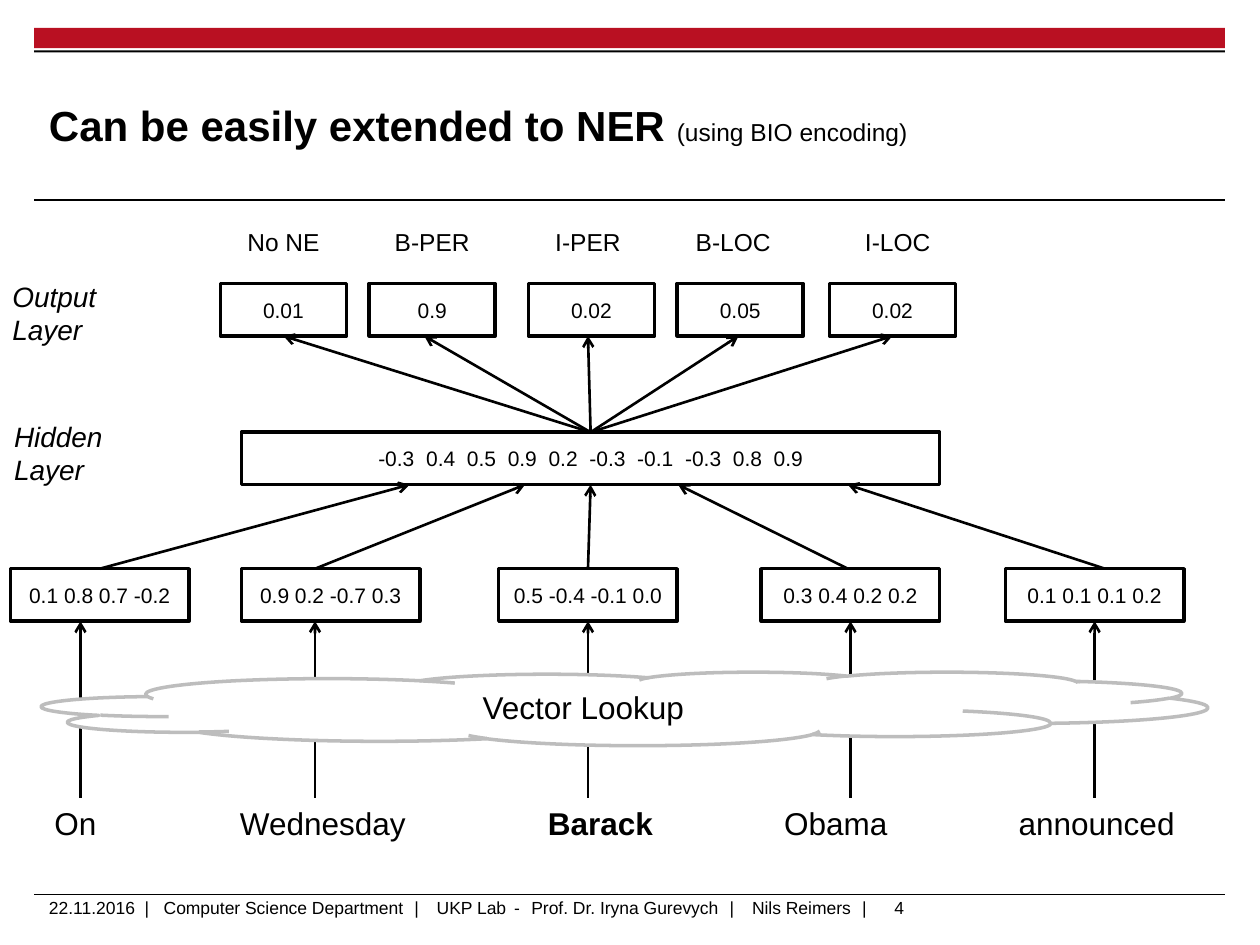
"""Build a slide showing a feed-forward network for named entity recognition."""
from itertools import chain
from typing import NamedTuple

from lxml.etree import SubElement
from pptx import Presentation
from pptx.dml.color import RGBColor
from pptx.enum.shapes import MSO_CONNECTOR, MSO_SHAPE
from pptx.enum.text import MSO_ANCHOR, PP_ALIGN
from pptx.oxml.ns import qn
from pptx.shapes.autoshape import Shape
from pptx.shapes.connector import Connector
from pptx.slide import Slide
from pptx.text.text import TextFrame
from pptx.util import Pt

COLORS = {"ink": "000000", "band": "B91022", "cloud": "BDBDBD", "paper": "FFFFFF"}
BOX_HEIGHT = 30
OUTPUT_TOP, HIDDEN_TOP, VECTOR_TOP, WORD_TOP = 162, 247, 325, 456
VECTOR_WIDTH, OUTPUT_WIDTH, LABEL_WIDTH = 102, 72, 90
HIDDEN_LEFT, HIDDEN_WIDTH = 138, 399
HIDDEN_CENTER = HIDDEN_LEFT + HIDDEN_WIDTH / 2


class Span(NamedTuple):
    text: str
    size: float | None = None
    bold: bool = False
    spacing: float = 0


class Token(NamedTuple):
    vector: str
    vector_left: float
    lookup_x: float
    feed_x: float
    hidden_x: float


class Tag(NamedTuple):
    label: str
    score: str
    label_left: float
    box_left: float
    arrow_x: float


TOKENS = [
    Token("0.1 0.8 0.7 -0.2", 6, 46, 57, 234),
    Token("0.9 0.2 -0.7 0.3", 138, 180, 180, 300),
    Token("0.5 -0.4 -0.1 0.0", 285, 336, 336, 337.5),
    Token("0.3 0.4 0.2 0.2", 435, 486, 484.5, 387.5),
    Token("0.1 0.1 0.1 0.2", 574.5, 625.5, 631.5, 484.5),
]
TAGS = [
    Tag("No NE", "0.01", 117, 126, 162),
    Tag("B-PER", "0.9", 202, 211, 242.5),
    Tag("I-PER", "0.02", 291, 302, 336),
    Tag("B-LOC", "0.05", 374, 387, 422),
    Tag("I-LOC", "0.02", 468, 474, 510),
]
HIDDEN_VALUES = ["-0.3", "0.4", "0.5", "0.9", "0.2", "-0.3", "-0.1", "-0.3", "0.8", "0.9"]
SENTENCE = [Span("On\tWednesday\t"), Span("Barack", bold=True), Span("\tObama\tannounced")]
WORD_TABS = [106, 282, 417, 551]


def color(name: str) -> RGBColor:
    """Look up a named colour."""
    return RGBColor.from_string(COLORS[name])


def separated(parts: list[str], separator: Span) -> list[Span]:
    """Put a widely spaced separator between the parts."""
    return list(chain.from_iterable((separator, Span(part)) for part in parts))[1:]


def write(frame: TextFrame, *paragraphs: list[Span], size: float = 12, italic: bool = False,
          align: PP_ALIGN = PP_ALIGN.LEFT, anchor: MSO_ANCHOR = MSO_ANCHOR.TOP,
          inset: float | None = None, wrap: bool = True, tabs: list[float] | None = None) -> None:
    """Fill a text frame with formatted paragraphs."""
    frame.word_wrap = wrap
    frame.vertical_anchor = anchor
    if inset is not None:
        frame.margin_left = frame.margin_right = frame.margin_top = frame.margin_bottom = Pt(inset)
    for index, spans in enumerate(paragraphs):
        paragraph = frame.add_paragraph() if index else frame.paragraphs[0]
        paragraph.alignment = align
        if tabs:
            stops = SubElement(paragraph._p.get_or_add_pPr(), qn("a:tabLst"))
            for stop in tabs:
                SubElement(stops, qn("a:tab"), pos=str(int(Pt(stop))), algn="l")
        for span in spans:
            run = paragraph.add_run()
            run.text = span.text
            run.font.name = "Arial"
            run.font.size = Pt(span.size or size)
            run.font.bold = span.bold
            run.font.italic = italic
            run.font.color.rgb = color("ink")
            if span.spacing:
                run._r.get_or_add_rPr().set("spc", str(round(span.spacing * 100)))


def text_box(slide: Slide, left: float, top: float, width: float, height: float) -> TextFrame:
    """Add an empty text box and return its frame."""
    return slide.shapes.add_textbox(Pt(left), Pt(top), Pt(width), Pt(height)).text_frame


def draw_shape(slide: Slide, kind: MSO_SHAPE, left: float, top: float, width: float,
               height: float, fill: str | None = None, line: str | None = None) -> Shape:
    """Draw a flat preset shape."""
    shape = slide.shapes.add_shape(kind, Pt(left), Pt(top), Pt(width), Pt(height))
    shape.shadow.inherit = False
    if fill:
        shape.fill.solid()
        shape.fill.fore_color.rgb = color(fill)
    else:
        shape.fill.background()
    if line:
        shape.line.color.rgb = color(line)
        shape.line.width = Pt(2)
    else:
        shape.line.fill.background()
    return shape


def draw_line(slide: Slide, x1: float, y1: float, x2: float, y2: float,
              width: float = 1.5) -> Connector:
    """Draw a straight line without shadow."""
    line = slide.shapes.add_connector(MSO_CONNECTOR.STRAIGHT, Pt(x1), Pt(y1), Pt(x2), Pt(y2))
    line.line.color.rgb = color("ink")
    line.line.width = Pt(width)
    SubElement(line._element.spPr, qn("a:effectLst"))
    return line


def draw_arrow(slide: Slide, x1: float, y1: float, x2: float, y2: float) -> None:
    """Draw a line with an open arrowhead at its end."""
    arrow = draw_line(slide, x1, y1, x2, y2)
    SubElement(arrow.line._get_or_add_ln(), qn("a:tailEnd"), type="arrow")


def draw_box(slide: Slide, left: float, top: float, width: float, spans: list[Span]) -> None:
    """Draw an outlined box of numbers."""
    box = draw_shape(slide, MSO_SHAPE.RECTANGLE, left, top, width, BOX_HEIGHT, line="ink")
    write(box.text_frame, spans, align=PP_ALIGN.CENTER, anchor=MSO_ANCHOR.MIDDLE)


def draw_page_frame(slide: Slide) -> None:
    """Draw the header band, rules, title and footer."""
    draw_shape(slide, MSO_SHAPE.RECTANGLE, 19.5, 16, 680.5, 11.5, fill="band")
    draw_shape(slide, MSO_SHAPE.RECTANGLE, 19.5, 28.8, 680.5, 1.2, fill="ink")
    for rule_y in (114.3, 511):
        draw_line(slide, 19.5, rule_y, 700, rule_y, width=0.6)
    write(text_box(slide, 28, 38, 564.5, 66),
          [Span("Can be easily extended to NER ", bold=True), Span("(using BIO encoding)", 14)],
          size=24, anchor=MSO_ANCHOR.MIDDLE, inset=0)
    lab = separated(["UKP Lab", "Prof. Dr. Iryna Gurevych"], Span(" - ", spacing=1.85))
    bar = Span(" | ", spacing=3.7)
    footer = [Span("22.11.2016"), Span(" | ", spacing=2.78), Span("Computer Science Department"),
              bar, *lab, bar, Span("Nils Reimers"), bar._replace(text=" |")]
    write(text_box(slide, 28, 512.5, 626, 18), footer, size=10, inset=0)
    write(text_box(slide, 504, 509, 34.5, 19.5), [Span("4")], size=10, wrap=False)


def draw_network(slide: Slide) -> None:
    """Draw the network from the words up to the output tags."""
    for token in TOKENS:
        draw_arrow(slide, token.lookup_x, WORD_TOP, token.lookup_x, VECTOR_TOP + BOX_HEIGHT)
    cloud = draw_shape(slide, MSO_SHAPE.CLOUD, 24, 384, 666, 42, fill="paper", line="cloud")
    write(cloud.text_frame, [Span("Vector Lookup")], size=18,
          align=PP_ALIGN.CENTER, anchor=MSO_ANCHOR.MIDDLE)
    write(text_box(slide, 24, WORD_TOP, 688, 29), SENTENCE, size=18, tabs=WORD_TABS)
    for token in TOKENS:
        draw_box(slide, token.vector_left, VECTOR_TOP, VECTOR_WIDTH, [Span(token.vector)])
        draw_arrow(slide, token.feed_x, VECTOR_TOP, token.hidden_x, HIDDEN_TOP + BOX_HEIGHT)
    draw_box(slide, HIDDEN_LEFT, HIDDEN_TOP, HIDDEN_WIDTH,
             separated(HIDDEN_VALUES, Span(" ", spacing=3.33)))
    for tag in TAGS:
        write(text_box(slide, tag.label_left, 126, LABEL_WIDTH, 24.5), [Span(tag.label)],
              size=14, align=PP_ALIGN.CENTER)
        draw_box(slide, tag.box_left, OUTPUT_TOP, OUTPUT_WIDTH, [Span(tag.score)])
        draw_arrow(slide, HIDDEN_CENTER, HIDDEN_TOP, tag.arrow_x, OUTPUT_TOP + BOX_HEIGHT)
    write(text_box(slide, 0, 156, 90, 46), [Span("Output Layer")], size=16, italic=True)
    write(text_box(slide, 1, 236, 125, 46), [Span("Hidden")], [Span("Layer")],
          size=16, italic=True)


def main() -> None:
    """Build and save the presentation."""
    presentation = Presentation()
    presentation.slide_width, presentation.slide_height = Pt(720), Pt(540)
    slide = presentation.slides.add_slide(presentation.slide_layouts[6])
    draw_page_frame(slide)
    draw_network(slide)
    presentation.save("out.pptx")


if __name__ == "__main__":
    main()
